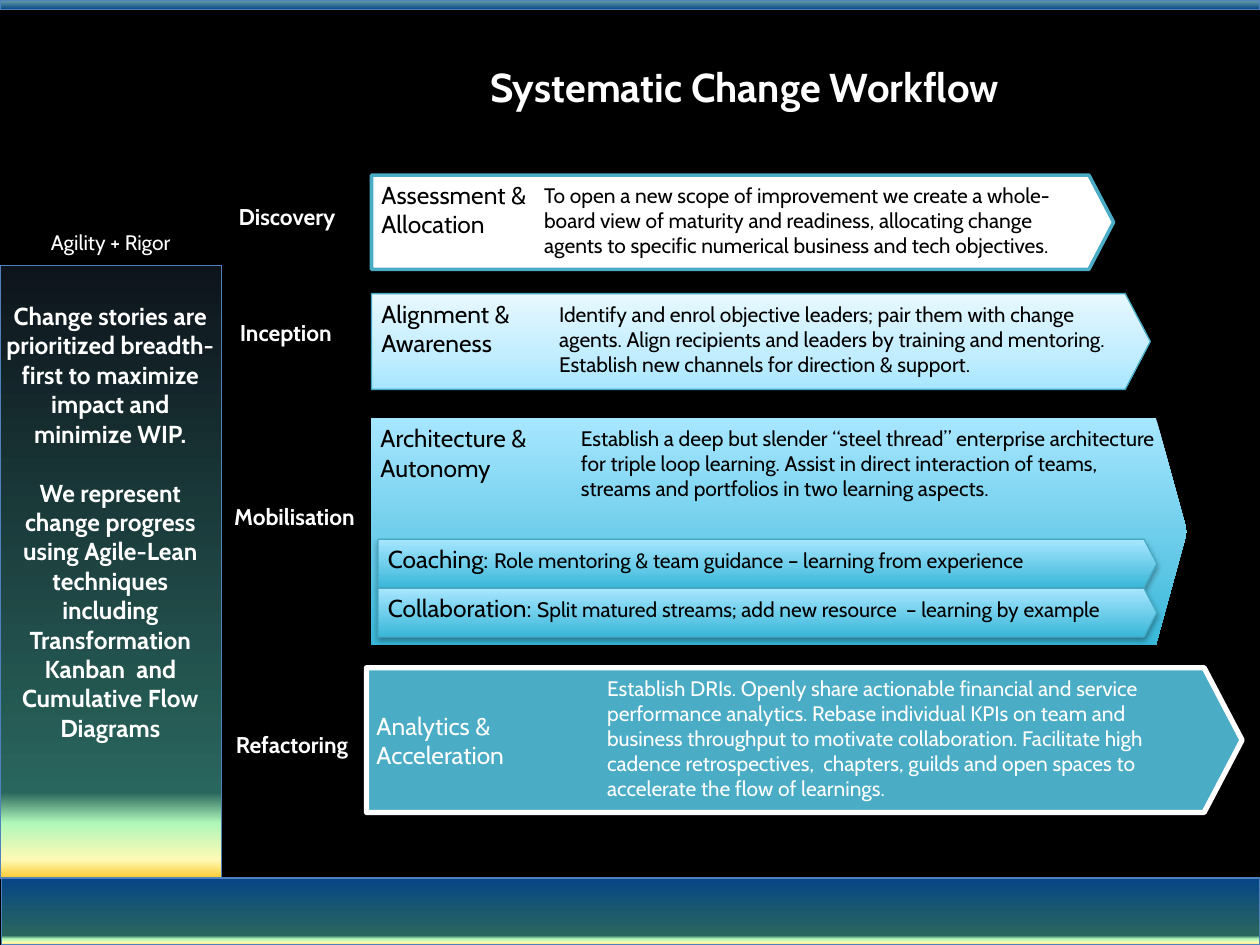
from lxml.etree import SubElement
from pptx import Presentation
from pptx.dml.color import RGBColor
from pptx.enum.shapes import MSO_SHAPE
from pptx.enum.text import MSO_ANCHOR, PP_ALIGN
from pptx.oxml.ns import qn
from pptx.util import Cm, Pt

FONT = "Cabin"
COLORS = {
    "black": "000000", "white": "FFFFFF", "frame": "4F81BD",
    "edge": "46AAC5", "teal": "4BACC6",
}
# Gradient stops run from top to bottom: (percent, colour)
GLOW = [(86, "29665D"), (91, "AFF7B9"), (97, "FEFAB6"), (100, "FACB33")]
GRADIENTS = {
    "header": [(0, "184F7B"), (3, "2476B9"), (9, "4A9BDC"), (14, "5A93A3"), (100, "064586")],
    "footer": [(0, "064586")] + GLOW,
    "sidebar": [(0, "0E141C")] + GLOW,
    "pale": [(0, "E7F8FF"), (65, "C1EDFF"), (100, "A7E6FF")],
    "aqua": [(0, "A7E6FF"), (100, "39B7D8")],
}


def rgb(name):
    return RGBColor.from_string(COLORS[name])


def write_text(shape, paragraphs, size=12, color="black", bold=False,
               align=PP_ALIGN.LEFT, anchor=MSO_ANCHOR.TOP, gap=0, spacing=None):
    """Each paragraph is a string or a list of (text, size) pairs."""
    frame = shape.text_frame
    frame.word_wrap = True
    frame.vertical_anchor = anchor
    frame.margin_left = frame.margin_right = Cm(0.2)
    frame.margin_top = frame.margin_bottom = Cm(0.1)
    for index, content in enumerate(paragraphs):
        paragraph = frame.add_paragraph() if index else frame.paragraphs[0]
        paragraph.alignment = align
        paragraph.space_before = Pt(gap if index else 0)
        if spacing:
            paragraph.line_spacing = spacing
        pieces = [(content, size)] if isinstance(content, str) else content
        for text, points in pieces:
            run = paragraph.add_run()
            run.text = text
            run.font.name = FONT
            run.font.size = Pt(points)
            run.font.bold = bold
            run.font.color.rgb = rgb(color)


def add_label(slide, box, paragraphs, **style):
    label = slide.shapes.add_textbox(*map(Cm, box))
    write_text(label, paragraphs, **style)


def paint_gradient(shape, stops):
    shape.fill.gradient()
    shape.fill.gradient_angle = 270
    stop_list = shape.element.spPr.find(qn("a:gradFill")).find(qn("a:gsLst"))
    for stop in list(stop_list):
        stop_list.remove(stop)
    for percent, color in stops:
        stop = SubElement(stop_list, qn("a:gs"), pos=str(percent * 1000))
        SubElement(stop, qn("a:srgbClr"), val=color)


def add_shadow(shape, opacity):
    effects = shape.element.spPr.find(qn("a:effectLst"))
    shadow = SubElement(effects, qn("a:outerShdw"), blurRad=str(Pt(3.1)),
                        dist=str(Pt(1.7)), dir="5400000", rotWithShape="0")
    tint = SubElement(shadow, qn("a:srgbClr"), val=COLORS["black"])
    SubElement(tint, qn("a:alpha"), val=str(opacity * 1000))


def add_panel(slide, box, fill, line=None, line_width=0.75,
              kind=MSO_SHAPE.RECTANGLE, shadow=0):
    panel = slide.shapes.add_shape(kind, *map(Cm, box))
    panel.shadow.inherit = False
    if fill in GRADIENTS:
        paint_gradient(panel, GRADIENTS[fill])
    else:
        panel.fill.solid()
        panel.fill.fore_color.rgb = rgb(fill)
    if line:
        panel.line.color.rgb = rgb(line)
        panel.line.width = Pt(line_width)
    else:
        panel.line.fill.background()
    if shadow:
        add_shadow(panel, shadow)
    return panel


def add_arrow(slide, box, paragraphs, tip=0.262, size=14, color="black",
              anchor=MSO_ANCHOR.TOP, **look):
    arrow = add_panel(slide, box, kind=MSO_SHAPE.PENTAGON, **look)
    arrow.adjustments[0] = tip
    write_text(arrow, paragraphs, size=size, color=color, anchor=anchor)


def add_sidebar(slide, box):
    left, top, width, height = box
    add_label(slide, (left, top - 0.83, width, 0.7), ["Agility + Rigor"],
              color="white", align=PP_ALIGN.CENTER, anchor=MSO_ANCHOR.MIDDLE)
    add_panel(slide, box, "sidebar", "frame")
    add_label(slide, (left - 0.15, top + 0.61, width + 0.28, 9.2), [
        "Change stories are prioritized breadth-first to maximize impact and minimize WIP.",
        "We represent change progress using Agile-Lean techniques including "
        "Transformation Kanban  and Cumulative Flow Diagrams",
    ], size=14, color="white", bold=True, align=PP_ALIGN.CENTER, gap=16.8)


def add_stage(slide, box, name, name_width, name_drop, heading, detail,
              detail_offset, detail_width, color="black", steps=(), **look):
    left, top, width, height = box
    add_label(slide, (4.4, top + name_drop, name_width, 0.76), [name],
              size=13, color="white", bold=True, align=PP_ALIGN.CENTER)
    add_arrow(slide, box, heading, color=color, **look)
    # Learning aspects nested inside the arrow
    for row, (title, text) in enumerate(steps):
        add_arrow(slide, (left + 0.15, top + 2.44 + row * 0.99, 15.7, 0.98),
                  [[(title, 14), (text, 12)]], fill="aqua", line="edge", shadow=35)
    add_label(slide, (left + detail_offset, top + 0.05, detail_width, height - 0.1),
              [detail], color=color)


STAGES = [
    dict(box=(7.49, 3.53, 14.96, 1.9), name="Discovery", name_width=2.77, name_drop=0.46,
         heading=["Assessment &", "Allocation"], detail_offset=3.28, detail_width=11.25,
         detail="To open a new scope of improvement we create a whole-board view of maturity "
                "and readiness, allocating change agents to specific numerical business and "
                "tech objectives.",
         fill="white", line="teal", line_width=2),
    dict(box=(7.49, 5.92, 15.7, 1.93), name="Inception", name_width=2.72, name_drop=0.4,
         heading=["Alignment &", "Awareness"], detail_offset=3.58, detail_width=11.96,
         detail="Identify and enrol objective leaders; pair them with change agents. Align "
                "recipients and leaders by training and mentoring. Establish new channels "
                "for direction & support.",
         fill="pale", line="edge", shadow=38),
    dict(box=(7.47, 8.43, 16.46, 4.57), name="Mobilisation", name_width=3.07, name_drop=1.6,
         heading=["Architecture &", "Autonomy"], detail_offset=4.04, detail_width=12.07,
         detail="Establish a deep but slender “steel thread” enterprise architecture for "
                "triple loop learning. Assist in direct interaction of teams, streams and "
                "portfolios in two learning aspects.",
         steps=[("Coaching: ", "Role mentoring & team guidance – learning from experience"),
                ("Collaboration: ",
                 "Split matured streams; add new resource  – learning by example")],
         fill="aqua", tip=0.137, shadow=35),
    dict(box=(7.39, 13.46, 17.65, 2.92), name="Refactoring", name_width=2.97, name_drop=1.17,
         heading=["Analytics &", "Acceleration"], detail_offset=4.65, detail_width=12.37,
         detail="Establish DRIs. Openly share actionable financial and service performance "
                "analytics. Rebase individual KPIs on team and business throughput to "
                "motivate collaboration. Facilitate high cadence retrospectives,  chapters, "
                "guilds and open spaces to accelerate the flow of learnings.",
         color="white", anchor=MSO_ANCHOR.MIDDLE,
         fill="teal", line="white", line_width=3, shadow=38),
]


def main():
    deck = Presentation()
    deck.slide_width, deck.slide_height = Cm(25.4), Cm(19.05)
    slide = deck.slides.add_slide(deck.slide_layouts[6])
    slide.background.fill.solid()
    slide.background.fill.fore_color.rgb = rgb("black")

    # Header and footer bands
    add_panel(slide, (0, 0, 25.4, 0.2), "header", "frame")
    add_panel(slide, (0.03, 17.7, 25.37, 1.35), "footer", "frame")

    add_sidebar(slide, (0, 5.36, 4.47, 12.34))
    add_label(slide, (4.78, 1.07, 20.47, 1.47), ["Systematic Change Workflow"],
              size=23, color="white", bold=True, align=PP_ALIGN.CENTER,
              anchor=MSO_ANCHOR.MIDDLE, spacing=0.9)
    for stage in STAGES:
        add_stage(slide, **stage)
    deck.save("out.pptx")


if __name__ == "__main__":
    main()
